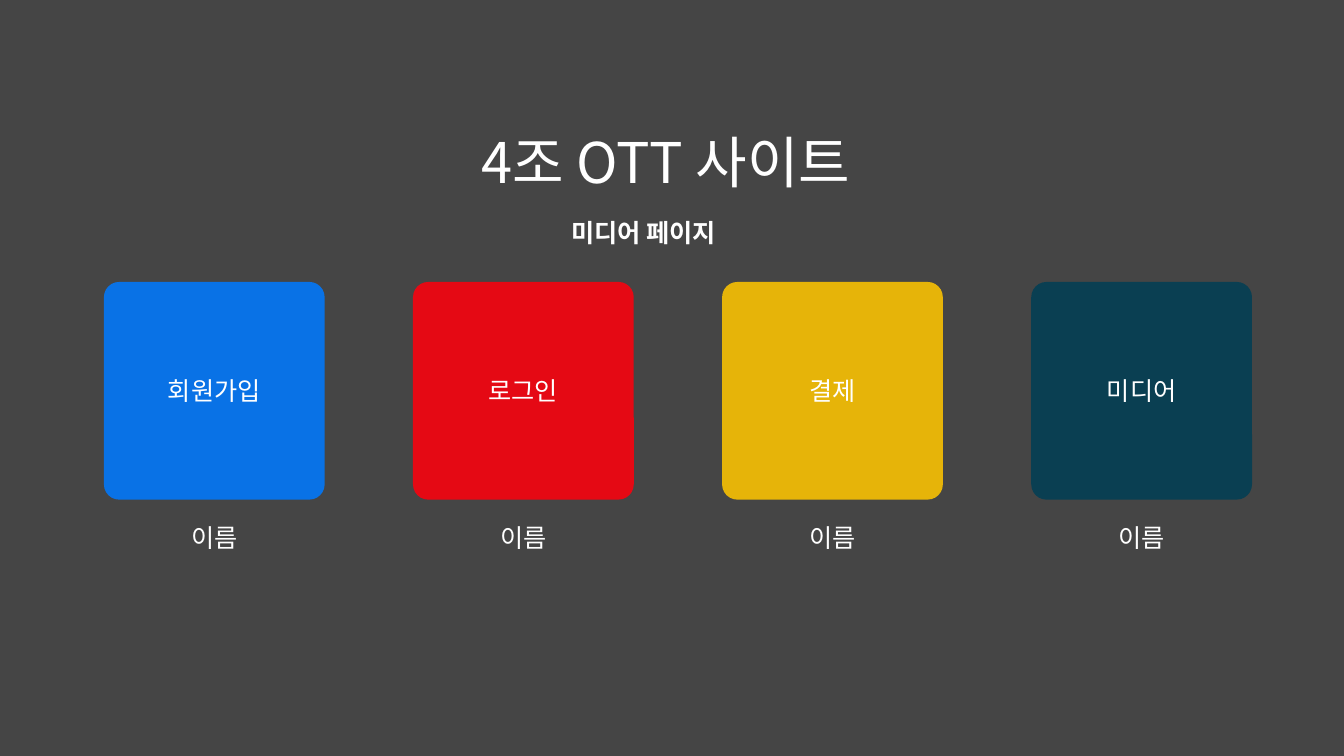
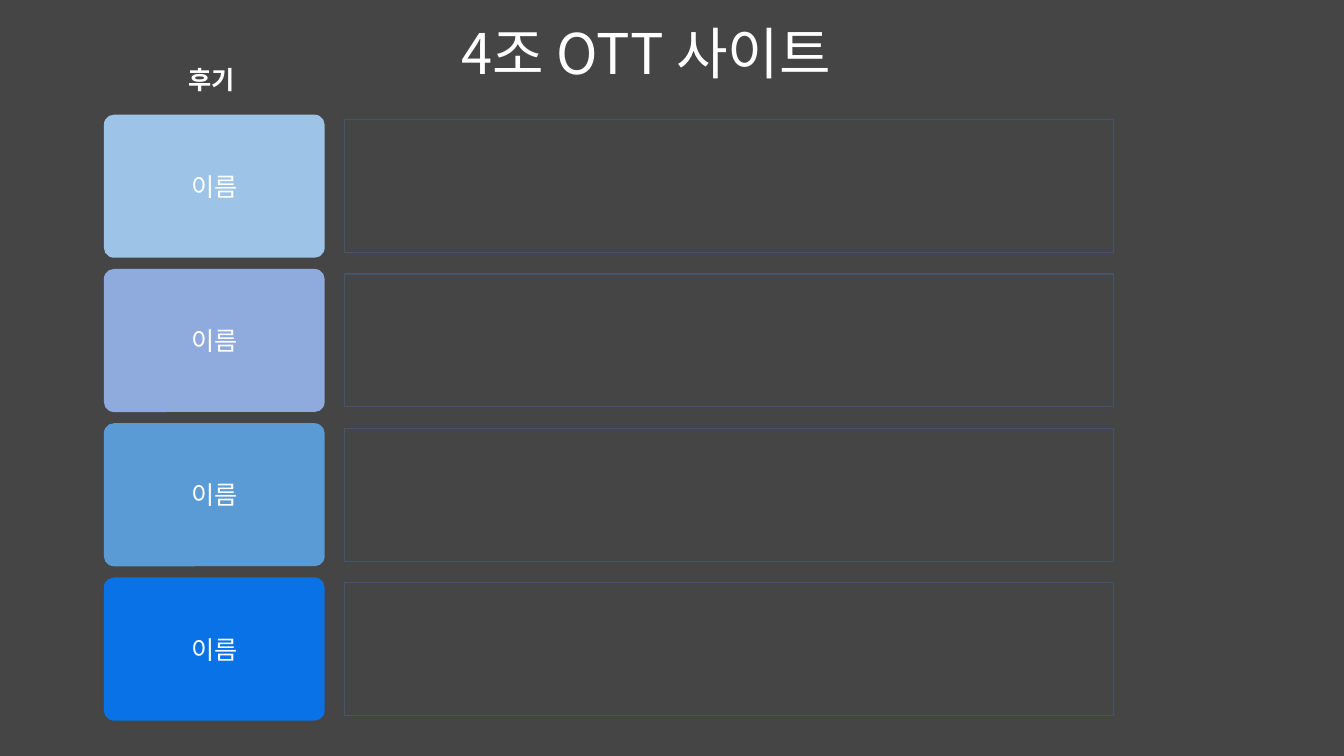
from lxml import etree
from pptx import Presentation
from pptx.dml.color import RGBColor
from pptx.enum import shapes, text
from pptx.oxml.ns import qn
from pptx.util import Pt

# Content
TITLE = "4조 OTT 사이트 "
NAME = "이름"
PAGE = "미디어 페이지"
REVIEW = "후기"
CARDS = [("회원가입", "0972E6"), ("로그인", "E50914"),
         ("결제", "E6B409"), ("미디어", "0A3F52")]
ROWS = ["9DC3E6", "8FAADC", "5B9BD5", "0972E6"]

# Shared style
FONT = "Noto Sans CJK KR"
BACK, WHITE, EDGE = "454545", "FFFFFF", "44546A"
LEFT, CARD_W, LINE_H = 74.2, 157.7, 28.8
KIND = shapes.MSO_SHAPE
MID, START = text.PP_ALIGN.CENTER, text.PP_ALIGN.LEFT


def rgb(code):
    return RGBColor.from_string(code)


def write(frame, words, size=18, bold=False, align=MID):
    para = frame.paragraphs[0]
    para.text = words
    para.alignment = align
    font = para.font
    font.size, font.bold, font.name = Pt(size), bold, FONT
    font.color.rgb = rgb(WHITE)
    # Hangul takes the East Asian font
    props = para._p.pPr.find(qn("a:defRPr"))
    etree.SubElement(props, qn("a:ea")).set("typeface", FONT)


def label(slide, box, words, wrap=True, **style):
    frame = slide.shapes.add_textbox(*map(Pt, box)).text_frame
    frame.word_wrap = wrap
    frame.auto_size = text.MSO_AUTO_SIZE.SHAPE_TO_FIT_TEXT
    write(frame, words, **style)


def card(slide, box, words, fill):
    shape = slide.shapes.add_shape(KIND.ROUNDED_RECTANGLE, *map(Pt, box))
    shape.adjustments[0] = 0.07
    shape.shadow.inherit = False
    shape.fill.solid()
    shape.fill.fore_color.rgb = rgb(fill)
    shape.line.fill.background()
    shape.text_frame.vertical_anchor = text.MSO_ANCHOR.MIDDLE
    write(shape.text_frame, words)


def outline(slide, box):
    shape = slide.shapes.add_shape(KIND.RECTANGLE, *map(Pt, box))
    shape.shadow.inherit = False
    shape.fill.background()
    shape.line.color.rgb = rgb(EDGE)
    shape.line.width = Pt(0.75)


def new_slide(deck, left, top):
    slide = deck.slides.add_slide(deck.slide_layouts[6])
    fill = slide.background.fill
    fill.solid()
    fill.fore_color.rgb = rgb(BACK)
    label(slide, (left, top, 744, 55.7), TITLE, size=40)
    return slide


def media(deck):
    slide = new_slide(deck, 108, 87.2)
    label(slide, (401, 152, 130.3, LINE_H), PAGE, bold=True, align=START)
    # Four cards with a name below each
    for i, (words, fill) in enumerate(CARDS):
        x = LEFT + i * 220.8
        card(slide, (x, 201.4, CARD_W, 155.5), words, fill)
        label(slide, (x + 9.2, 369.3, CARD_W - 18.4, LINE_H), NAME)


def reviews(deck):
    slide = new_slide(deck, 94.2, 10)
    label(slide, (127.4, 42.5, 51.2, LINE_H), REVIEW, wrap=False,
          bold=True, align=START)
    # Name card and empty review frame in each row
    for i, fill in enumerate(ROWS):
        y = 81.9 + i * 110.2
        card(slide, (LEFT, y, CARD_W, 102.2), NAME, fill)
        outline(slide, (246.1, y + 3.6, 549, 95))


def main():
    deck = Presentation()
    deck.slide_width, deck.slide_height = Pt(960), Pt(540)
    media(deck)
    reviews(deck)
    deck.save("out.pptx")


if __name__ == "__main__":
    main()
